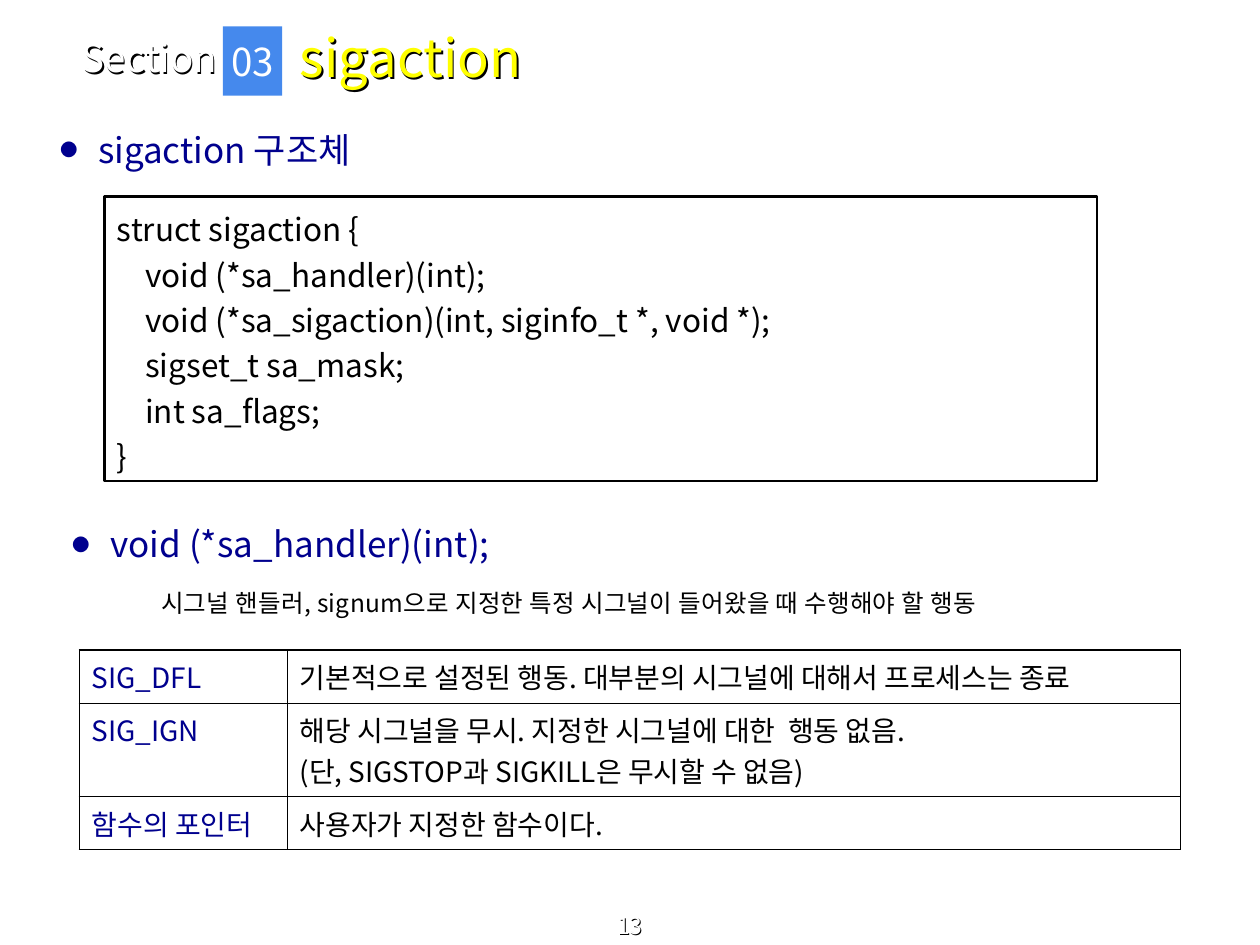
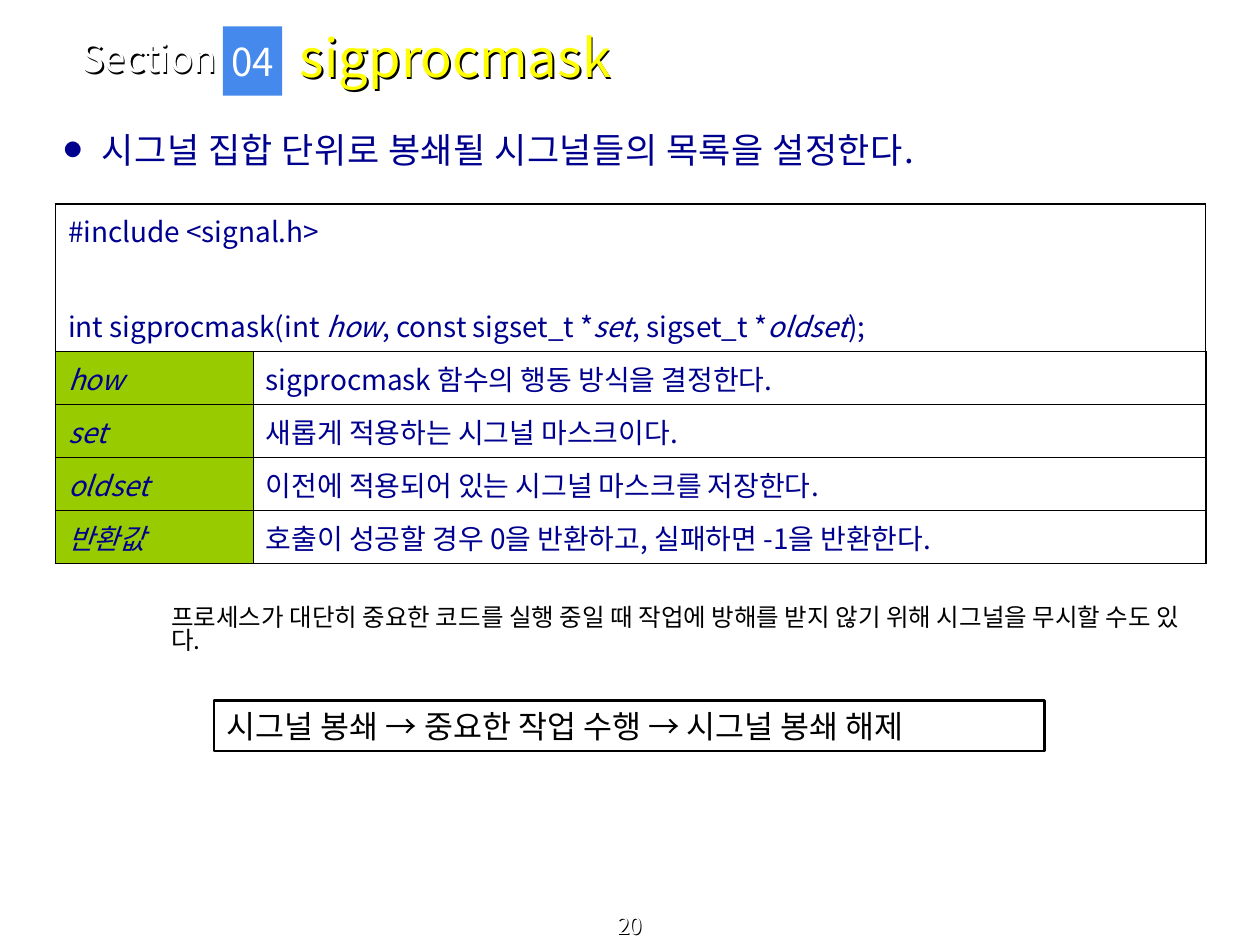
from dataclasses import dataclass

from lxml.etree import SubElement
from pptx import Presentation
from pptx.dml.color import RGBColor
from pptx.enum.shapes import MSO_SHAPE
from pptx.enum.text import MSO_ANCHOR, MSO_AUTO_SIZE, PP_ALIGN
from pptx.oxml.ns import qn
from pptx.util import Inches, Pt

FONT = "Noto Sans CJK KR"
COLORS = {
    "white": "FFFFFF",
    "black": "000000",
    "navy": "00008E",
    "yellow": "FFFF00",
    "badge": "4589ED",
    "green": "99CC00",
}
OUTER_LINE, INNER_LINE = 1.08, 0.45


@dataclass(frozen=True)
class Box:
    left: float
    top: float
    width: float
    height: float

    def emu(self) -> tuple:
        return tuple(Inches(v) for v in (self.left, self.top, self.width, self.height))


@dataclass(frozen=True)
class Cell:
    text: str
    color: str = "navy"
    fill: str | None = None
    italic: bool = False
    span: int = 1
    gap: float = 0


@dataclass(frozen=True)
class Section:
    number: str
    title: str
    page: str


TITLE = Box(2.28, 0.11, 6.49, 0.68)
LABEL = Box(0.55, 0.27, 1.35, 0.37)
BADGE = Box(1.77, 0.21, 0.47, 0.55)
PAGE = Box(0, 7.28, 10, 0.22)

STRUCT_CODE = """struct sigaction {
    void (*sa_handler)(int);
    void (*sa_sigaction)(int, siginfo_t *, void *);
    sigset_t sa_mask;
    int sa_flags;
}"""
PROTOTYPE = """#include <signal.h>
int sigprocmask(int *how*, const sigset_t **set*, sigset_t **oldset*);"""

HANDLER_ROWS = [
    [Cell("SIG_DFL"),
     Cell("기본적으로 설정된 행동. 대부분의 시그널에 대해서 프로세스는 종료", "black")],
    [Cell("SIG_IGN"),
     Cell("해당 시그널을 무시. 지정한 시그널에 대한  행동 없음.\v"
          "(단, SIGSTOP과 SIGKILL은 무시할 수 없음)", "black")],
    [Cell("함수의 포인터"), Cell("사용자가 지정한 함수이다.", "black")],
]
ARGUMENTS = [
    ("how", "sigprocmask 함수의 행동 방식을 결정한다."),
    ("set", "새롭게 적용하는 시그널 마스크이다."),
    ("oldset", "이전에 적용되어 있는 시그널 마스크를 저장한다."),
    ("반환값", "호출이 성공할 경우 0을 반환하고, 실패하면 -1을 반환한다."),
]
ITALIC_WORDS = ("how", "set", "oldset")


def split_italics(line: str) -> list[tuple[str, bool]]:
    """Split a line into (text, italic) runs at the *word* marks of ITALIC_WORDS."""
    runs, rest = [], line
    for word in ITALIC_WORDS:
        before, mark, after = rest.partition(f"*{word}*")
        if mark:
            runs += [(before, False), (word, True)]
            rest = after
    return runs + [(rest, False)]


def write(tf, text: str, *, size: float, color: str, italic: bool = False,
          align=PP_ALIGN.LEFT, spacing: float | None = None, gap: float = 0,
          tracking: float = 0, bullet: bool = False) -> None:
    """Fill a text frame, one paragraph a line; gap is the space between them."""
    for i, line in enumerate(text.split("\n")):
        p = tf.paragraphs[0] if i == 0 else tf.add_paragraph()
        p.alignment = align
        p.line_spacing = spacing
        p.space_before = Pt(gap if i else 0)
        p._p.get_or_add_pPr().set("hangingPunct", "0")
        if bullet:
            add_bullet(p, color)
        for part, slanted in split_italics(line):
            for j, piece in enumerate(part.split("\v")):
                if j:
                    p.add_line_break()
                r = p.add_run()
                r.text = piece
                r.font.size = Pt(size)
                r.font.italic = italic or slanted
                r.font.color.rgb = RGBColor.from_string(COLORS[color])
                r.font.name = FONT
                SubElement(r.font._element, qn("a:ea")).set("typeface", FONT)
                if tracking:
                    r.font._element.set("spc", str(round(tracking * 100)))


def add_bullet(p, color: str) -> None:
    pPr = p._p.get_or_add_pPr()
    pPr.set("marL", str(Inches(0.3)))
    pPr.set("indent", str(-Inches(0.3)))
    clr = SubElement(pPr, qn("a:buClr"))
    SubElement(clr, qn("a:srgbClr")).set("val", COLORS[color])
    SubElement(pPr, qn("a:buSzPct")).set("val", "50000")
    SubElement(pPr, qn("a:buFont")).set("typeface", FONT)
    SubElement(pPr, qn("a:buChar")).set("char", "●")


def add_shadow(sp, size: float) -> None:
    """Give the letters of an unfilled shape a black shadow in step with their size."""
    sp.fill.background()
    effects = SubElement(sp._element.spPr, qn("a:effectLst"))
    shadow = SubElement(effects, qn("a:outerShdw"), dist=str(Pt(size / 20)),
                        dir="2700000", algn="tl", rotWithShape="0")
    SubElement(shadow, qn("a:srgbClr")).set("val", COLORS["black"])


def set_frame(tf, anchor=MSO_ANCHOR.TOP, wrap: bool = True) -> None:
    tf.word_wrap = wrap
    tf.auto_size = MSO_AUTO_SIZE.NONE
    tf.vertical_anchor = anchor


def add_text(s, box: Box, text: str, *, anchor=MSO_ANCHOR.TOP, shadow: bool = False,
             **style) -> None:
    sp = s.shapes.add_textbox(*box.emu())
    set_frame(sp.text_frame, anchor)
    write(sp.text_frame, text, **style)
    if shadow:
        add_shadow(sp, style["size"])


def add_rect(s, box: Box, text: str, *, fill: str | None = None, line: str | None = None,
             anchor=MSO_ANCHOR.MIDDLE, wrap: bool = True, **style) -> None:
    sp = s.shapes.add_shape(MSO_SHAPE.RECTANGLE, *box.emu())
    sp.shadow.inherit = False
    if fill:
        sp.fill.solid()
        sp.fill.fore_color.rgb = RGBColor.from_string(COLORS[fill])
    else:
        sp.fill.background()
    if line:
        sp.line.color.rgb = RGBColor.from_string(COLORS[line])
        sp.line.width = Pt(1.25)
    else:
        sp.line.fill.background()
    set_frame(sp.text_frame, anchor, wrap)
    write(sp.text_frame, text, **style)


def add_heading(s, left: float, top: float, width: float, text: str,
                tracking: float = 0) -> None:
    add_text(s, Box(left, top, width, 0.44), text, size=20, color="navy", bullet=True,
             tracking=tracking)


def set_borders(cell, outer: dict[str, bool]) -> None:
    tcPr = cell._tc.get_or_add_tcPr()
    for i, (side, is_outer) in enumerate(outer.items()):
        width = Pt(OUTER_LINE if is_outer else INNER_LINE)
        ln = tcPr.makeelement(qn(f"a:{side}"), {"w": str(width)})
        fill = SubElement(ln, qn("a:solidFill"))
        SubElement(fill, qn("a:srgbClr")).set("val", COLORS["black"])
        tcPr.insert(i, ln)


def add_grid(s, left: float, top: float, widths: list[float], heights: list[float],
             rows: list[list[Cell]]) -> None:
    box = Box(left, top, sum(widths), sum(heights))
    table = s.shapes.add_table(len(heights), len(widths), *box.emu()).table
    table.first_row = table.horz_banding = False
    for column, width in zip(table.columns, widths):
        column.width = Inches(width)
    for row, height in zip(table.rows, heights):
        row.height = Inches(height)
    for y, row in enumerate(rows):
        for x, item in enumerate(row):
            cell = table.cell(y, x)
            if item.span > 1:
                cell.merge(table.cell(y, x + item.span - 1))
            write(cell.text_frame, item.text, size=16, color=item.color,
                  italic=item.italic, gap=item.gap)
    for y in range(len(heights)):
        for x in range(len(widths)):
            cell = table.cell(y, x)
            fill = rows[y][x].fill if x < len(rows[y]) else None
            if fill:
                cell.fill.solid()
                cell.fill.fore_color.rgb = RGBColor.from_string(COLORS[fill])
            else:
                cell.fill.background()
            set_borders(cell, {"lnL": x == 0, "lnR": x == len(widths) - 1,
                               "lnT": y == 0, "lnB": y == len(heights) - 1})


def add_section_slide(prs, section: Section):
    """Add a slide with the section label, number badge, title and page number."""
    s = prs.slides.add_slide(prs.slide_layouts[5])
    title = s.shapes.title
    title.left, title.top, title.width, title.height = TITLE.emu()
    set_frame(title.text_frame, MSO_ANCHOR.MIDDLE)
    write(title.text_frame, section.title, size=30, color="yellow")
    add_shadow(title, 30)
    add_text(s, LABEL, "Section", anchor=MSO_ANCHOR.MIDDLE, size=22, color="white",
             shadow=True)
    add_rect(s, BADGE, section.number, fill="badge", wrap=False, size=22,
             color="white", align=PP_ALIGN.CENTER)
    add_text(s, PAGE, section.page, anchor=MSO_ANCHOR.BOTTOM, size=13, color="white",
             align=PP_ALIGN.CENTER, shadow=True)
    return s


def build_sigaction(prs) -> None:
    s = add_section_slide(prs, Section("03", "sigaction", "13"))
    add_heading(s, 0.38, 0.97, 2.75, "sigaction 구조체")
    add_rect(s, Box(0.83, 1.56, 7.88, 2.26), STRUCT_CODE, line="black", size=18,
             color="black", spacing=1.2)
    add_heading(s, 0.48, 4.1, 3.77, "void (*sa_handler)(int);")
    add_text(s, Box(1.18, 4.62, 8.31, 0.47),
             "시그널 핸들러, signum으로 지정한 특정 시그널이 들어왔을 때 수행해야 할 행동",
             size=14, color="black", tracking=0.16)
    add_grid(s, 0.63, 5.16, [1.65, 7.09], [0.42, 0.74, 0.42], HANDLER_ROWS)


def build_sigprocmask(prs) -> None:
    s = add_section_slide(prs, Section("04", "sigprocmask", "20"))
    add_heading(s, 0.41, 0.97, 7.41, "시그널 집합 단위로 봉쇄될 시그널들의 목록을 설정한다.",
                tracking=0.25)
    rows = [[Cell(PROTOTYPE, span=2, gap=31)]]
    rows += [[Cell(name, fill="green", italic=True), Cell(meaning)]
             for name, meaning in ARGUMENTS]
    add_grid(s, 0.44, 1.62, [1.57, 7.56], [1.17] + [0.42] * len(ARGUMENTS), rows)
    add_text(s, Box(1.26, 4.77, 8.39, 0.87),
             "프로세스가 대단히 중요한 코드를 실행 중일 때 작업에 방해를 받지 않기 위해 "
             "시그널을 무시할 수도 있다.", size=14, color="black", spacing=0.8)
    add_rect(s, Box(1.7, 5.56, 6.59, 0.4), "시그널 봉쇄 → 중요한 작업 수행 → 시그널 봉쇄 해제",
             line="black", anchor=MSO_ANCHOR.TOP, size=18, color="black")


def main() -> None:
    prs = Presentation()
    prs.slide_width, prs.slide_height = Inches(10), Inches(7.5)
    build_sigaction(prs)
    build_sigprocmask(prs)
    prs.save("out.pptx")


if __name__ == "__main__":
    main()
